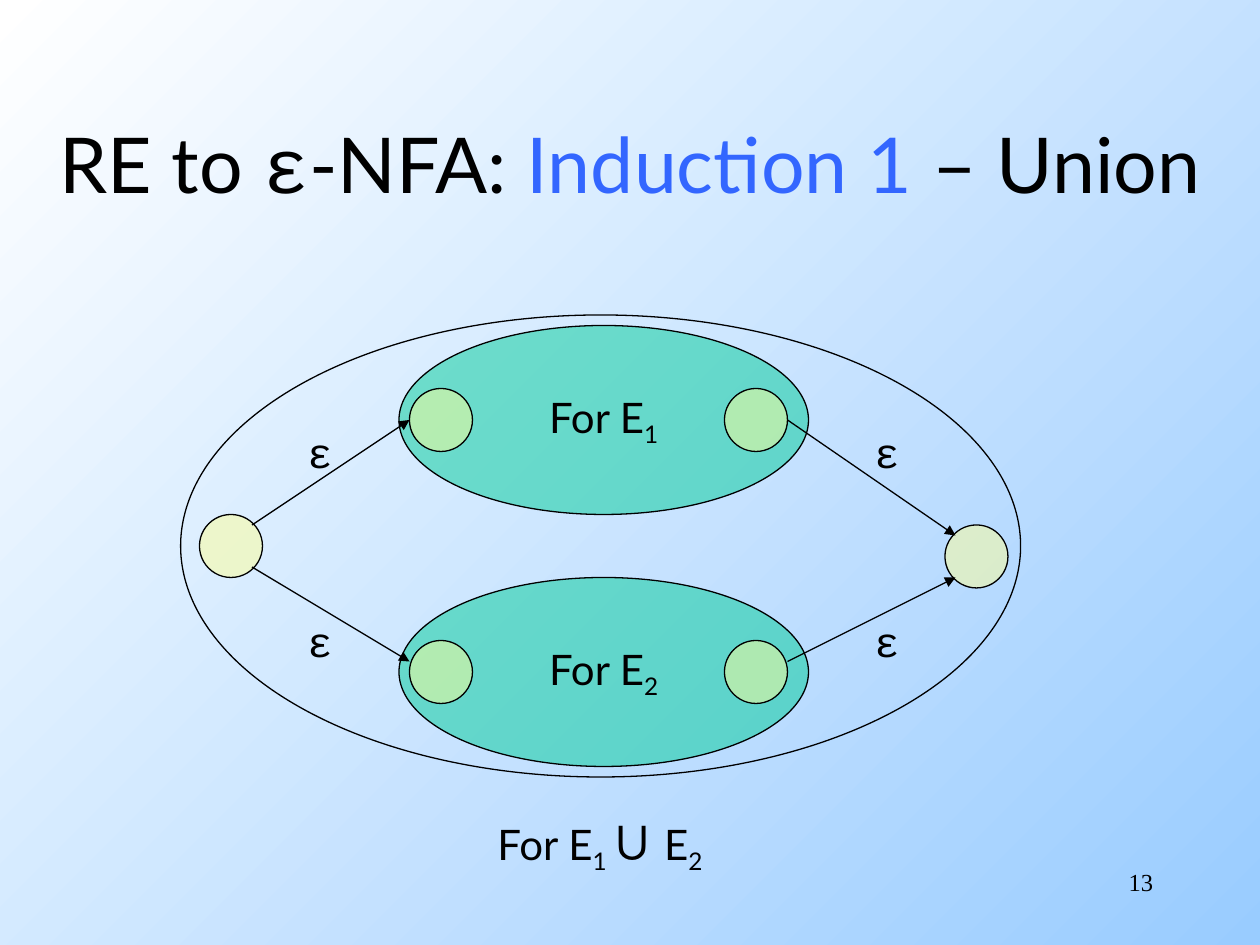
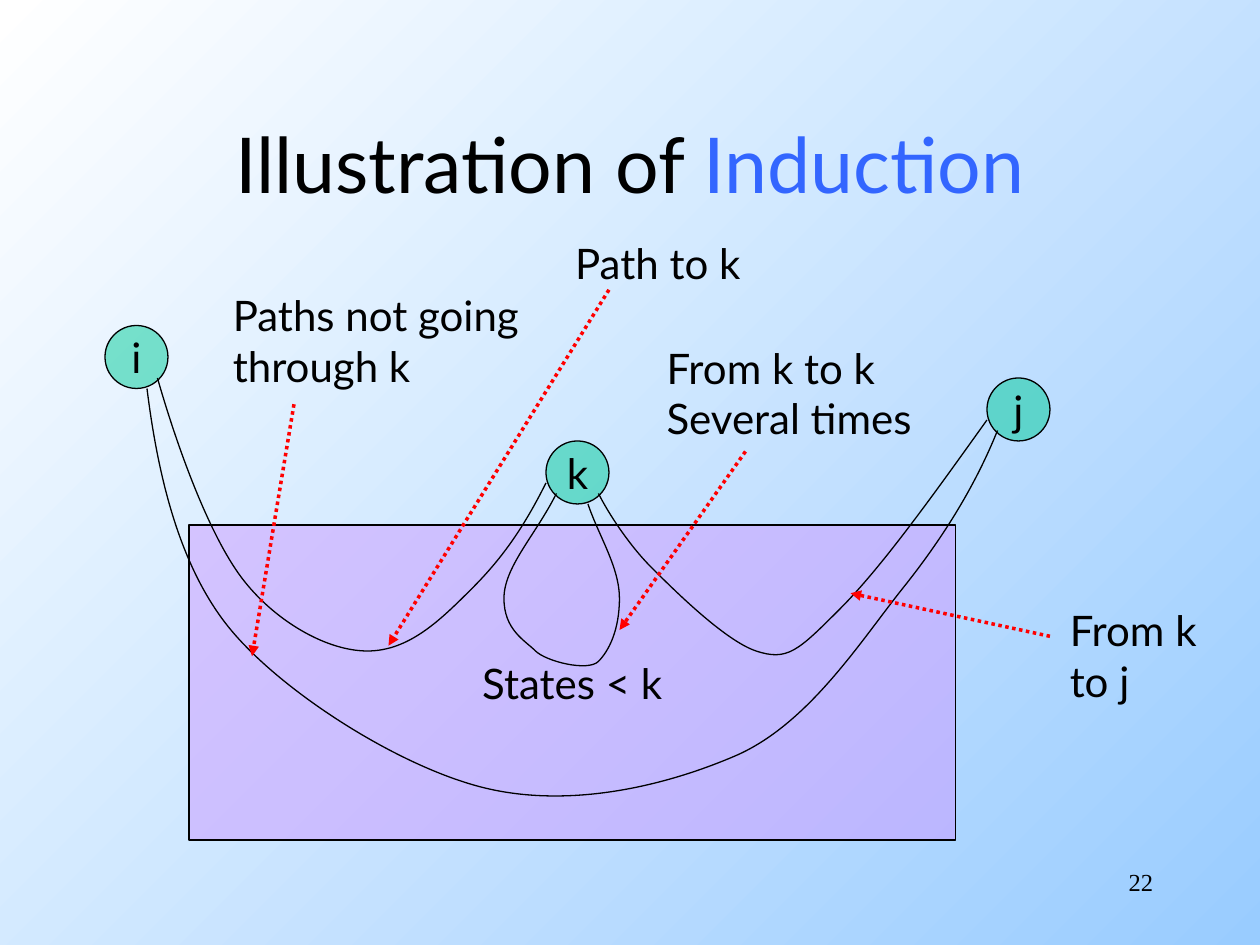
import pptx
import pptx.dml.color
import pptx.enum.dml
import pptx.enum.shapes
import pptx.enum.text
import pptx.oxml
import pptx.oxml.ns
import pptx.util
from lxml import etree

COLUMNS, ROWS = 120, 90
CELL = pptx.util.Inches(10) // COLUMNS
NODE = 6
BLACK, BLUE, RED = "000000", "3366FF", "FF0000"
GREEN, YELLOW, PURPLE = "00CC99", "FFFF99", "CC99FF"
SKY = ("FFFFFF", "99CCFF")
SUBSCRIPT = {"baseline": -25000}
GREEK = {"name": "Courier New"}
ACCENT = {"color": BLUE}
ALIGN = pptx.enum.text.PP_ALIGN
ANCHOR = pptx.enum.text.MSO_ANCHOR
OVAL = pptx.enum.shapes.MSO_SHAPE.OVAL
RECTANGLE = pptx.enum.shapes.MSO_SHAPE.RECTANGLE


def cells(*values):
    return [round(value * CELL) for value in values]


def rgb(color):
    return pptx.dml.color.RGBColor.from_string(color)


def set_values(target, values):
    for name, value in values.items():
        setattr(target, name, value)


def add_child(parent, tag, **attributes):
    child = etree.SubElement(parent, pptx.oxml.ns.qn(tag))
    for name, value in attributes.items():
        child.set(name, str(value))
    return child


def write(shape, lines, frame, size=24, name="Lato", align=ALIGN.LEFT):
    text_frame = shape.text_frame
    set_values(text_frame, frame)
    for index, line in enumerate(lines):
        paragraph = text_frame.paragraphs[0] if index == 0 else text_frame.add_paragraph()
        paragraph.alignment = align
        for part in [line] if isinstance(line, str) else line:
            text, changes = (part, {}) if isinstance(part, str) else part
            run = paragraph.add_run()
            run.text = text
            style = {"size": size, "name": name, "color": BLACK} | changes
            set_values(run.font, {"size": pptx.util.Pt(style["size"]), "name": style["name"]})
            run.font.color.rgb = rgb(style["color"])
            if "baseline" in style:
                run.font._element.set("baseline", str(style["baseline"]))


def add_label(slide, box, *lines):
    label = slide.shapes.add_textbox(*cells(*box))
    write(label, lines, {
        "word_wrap": False,
        "auto_size": pptx.enum.text.MSO_AUTO_SIZE.SHAPE_TO_FIT_TEXT,
    })


def outline(line, color=BLACK, width=0.75):
    line.color.rgb = rgb(color)
    line.width = pptx.util.Pt(width)


def add_figure(slide, kind, box, color=None, text=None):
    shape = slide.shapes.add_shape(kind, *cells(*box))
    shape.shadow.inherit = False
    outline(shape.line)
    if color:
        shape.fill.solid()
        shape.fill.fore_color.rgb = rgb(color)
        tint = shape._element.spPr.find(".//" + pptx.oxml.ns.qn("a:srgbClr"))
        add_child(tint, "a:alpha", val=50000)
    else:
        shape.fill.background()
    if text:
        frame = {"word_wrap": False, "vertical_anchor": ANCHOR.MIDDLE}
        write(shape, [text], frame, align=ALIGN.CENTER)


def add_node(slide, left, top, color, text=None):
    add_figure(slide, OVAL, (left, top, NODE, NODE), color, text)


def add_arrow(slide, start, end, color=BLACK, width=0.75, dash=None):
    straight = pptx.enum.shapes.MSO_CONNECTOR.STRAIGHT
    arrow = slide.shapes.add_connector(straight, *cells(*start, *end))
    outline(arrow.line, color, width)
    if dash:
        arrow.line.dash_style = dash
    add_child(arrow.line._get_or_add_ln(), "a:tailEnd", type="triangle")
    add_child(arrow._element.spPr, "a:effectLst")


def add_pointer(slide, start, end):
    add_arrow(slide, start, end, RED, 2, pptx.enum.dml.MSO_LINE.ROUND_DOT)


def midpoint(first, second):
    return tuple((a + b) / 2 for a, b in zip(first, second))


def spline_controls(knots):
    slopes = [tuple((b - a) / 6 for a, b in zip(before, after))
              for before, after in zip(knots, knots[2:])]
    leaving = [tuple(k + s for k, s in zip(knot, slope))
               for knot, slope in zip(knots[1:], slopes)]
    arriving = [tuple(k - s for k, s in zip(knot, slope))
                for knot, slope in zip(knots[1:], slopes)]
    leaving.insert(0, midpoint(knots[0], arriving[0]))
    arriving.append(midpoint(leaving[-1], knots[-1]))
    return [point for triple in zip(leaving, arriving, knots[1:]) for point in triple]


def add_curve(slide, *knots):
    builder = slide.shapes.build_freeform(*knots[0], scale=CELL)
    builder.add_line_segments(spline_controls(knots), close=False)
    curve = builder.convert_to_shape()
    curve.shadow.inherit = False
    curve.fill.background()
    outline(curve.line)
    route = curve._element.spPr.find(".//" + pptx.oxml.ns.qn("a:path"))
    steps = route.findall(pptx.oxml.ns.qn("a:lnTo"))
    for index in range(0, len(steps), 3):
        bend = add_child(route, "a:cubicBezTo")
        for step in steps[index:index + 3]:
            bend.append(step[0])
            route.remove(step)


def paint_background(master):
    fill = master.background.fill
    fill.gradient()
    fill.gradient_angle = 315
    for stop, color in zip(fill.gradient_stops, SKY):
        stop.color.rgb = rgb(color)


def add_slide(presentation, title, number, margin):
    slide = presentation.slides.add_slide(presentation.slide_layouts[6])
    page = slide.shapes.add_textbox(*cells(86, 82, 25, 6))
    write(page, [number], {"word_wrap": True}, 14, "Times New Roman", ALIGN.RIGHT)
    heading = slide.shapes.add_textbox(*cells(margin, 8, COLUMNS - 2 * margin, 15))
    frame = {"word_wrap": True, "vertical_anchor": ANCHOR.MIDDLE}
    write(heading, [title], frame, 44, align=ALIGN.CENTER)
    return slide


def build_union(presentation):
    title = ["RE to ", ("ε", GREEK), "-NFA: ", ("Induction 1", ACCENT), " – Union"]
    slide = add_slide(presentation, title, "13", 0)
    for index, top in (("1", 31), ("2", 55)):
        add_figure(slide, OVAL, (38, top, 39, 18), GREEN, ["For E", (index, SUBSCRIPT)])
        for left in (69, 39):
            add_node(slide, left, top + NODE, YELLOW)
    add_figure(slide, OVAL, (17.2, 30, 80, 44))
    add_label(slide, (46.2, 76, 23, 8), [
        "For E", ("1 ", SUBSCRIPT), ("∪", {"size": 32, "name": "Arial"}),
        " E", ("2", SUBSCRIPT)])
    add_node(slide, 19, 49, YELLOW)
    add_node(slide, 90, 50, YELLOW)
    for start, end in (((24, 50), (39, 40)), ((24, 54), (39, 63)),
                       ((75, 40), (91, 51)), ((75, 63), (91, 55))):
        add_arrow(slide, start, end)
    for left in (28.1, 82.1):
        for top in (40, 58):
            add_label(slide, (left, top, 4.3, 6), [("ε", GREEK)])


def build_illustration(presentation):
    slide = add_slide(presentation, ["Illustration of ", ("Induction", ACCENT)], "22", 9)
    add_figure(slide, RECTANGLE, (18, 50, 73, 30), PURPLE, "States < k")
    for state, left, top in (("k", 52, 42), ("i", 10, 31), ("j", 94, 36)):
        add_node(slide, left, top, GREEN, state)
    add_curve(slide, (14, 37), (22, 60), (46, 75), (70, 72), (86, 56), (95, 41))
    add_curve(slide, (15, 36), (23, 55), (35, 62), (45, 56), (52, 46))
    add_curve(slide, (53, 47), (48, 57), (51, 62), (57, 63), (59, 57), (56, 48))
    add_curve(slide, (57, 47), (62, 54), (72, 62), (80, 58), (94, 40))
    add_label(slide, (21, 27, 32.2, 10.8), "Paths not going", "through k")
    add_pointer(slide, (28, 38.5), (24, 62.5))
    add_label(slide, (100.7, 57, 15.5, 10.8), "From k", "to j")
    add_pointer(slide, (100, 60.6), (81, 56.5))
    add_label(slide, (62.3, 32, 27.5, 10.8), "From k to k", "Several times")
    add_pointer(slide, (71, 43), (59, 60))
    add_label(slide, (53.6, 22, 19.1, 6), "Path to k")
    add_pointer(slide, (58, 27.6), (37, 61.5))


def main():
    presentation = pptx.Presentation()
    size = {"slide_width": COLUMNS * CELL, "slide_height": ROWS * CELL}
    set_values(presentation, size)
    paint_background(presentation.slide_master)
    build_union(presentation)
    build_illustration(presentation)
    presentation.save("out.pptx")


if __name__ == "__main__":
    main()
